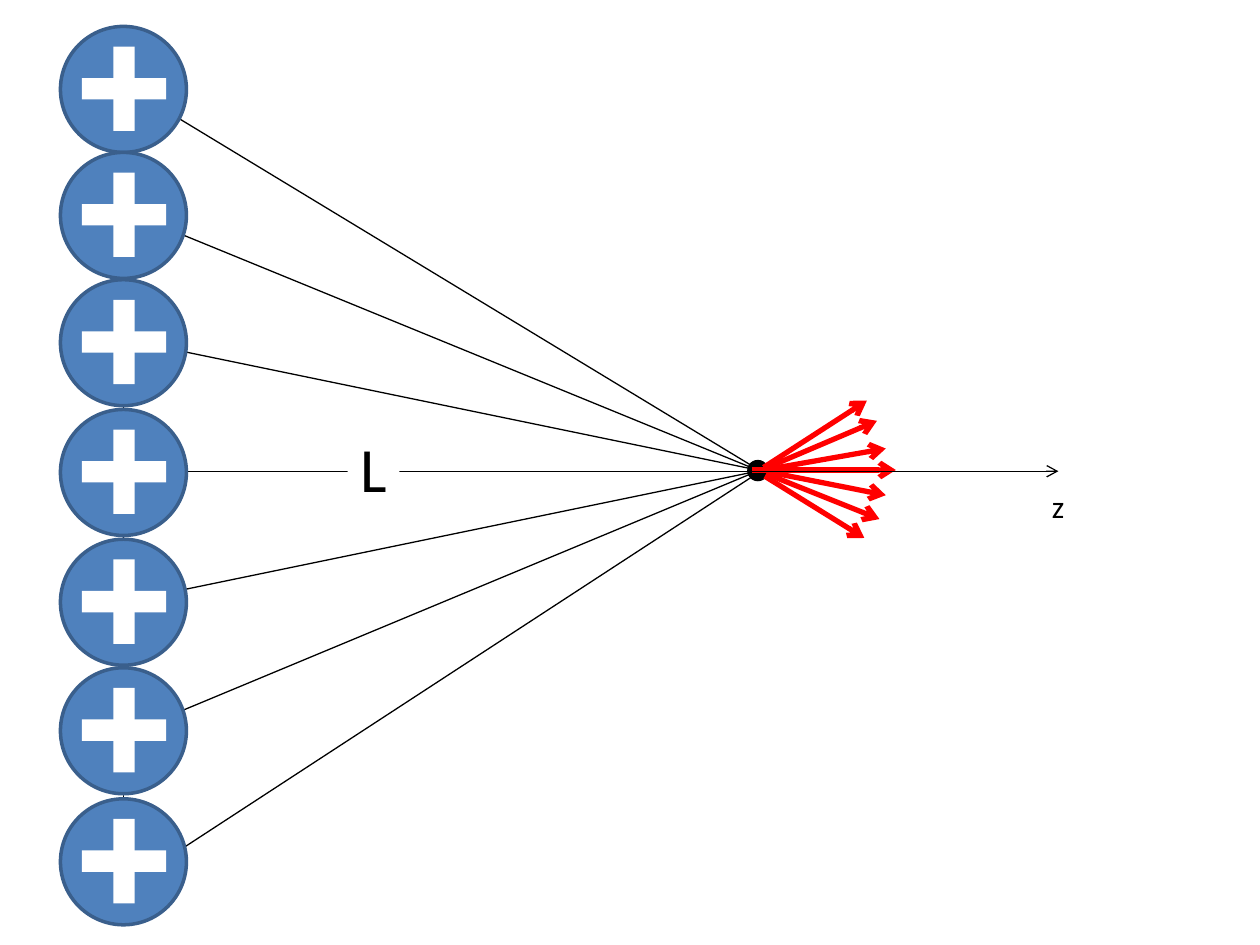
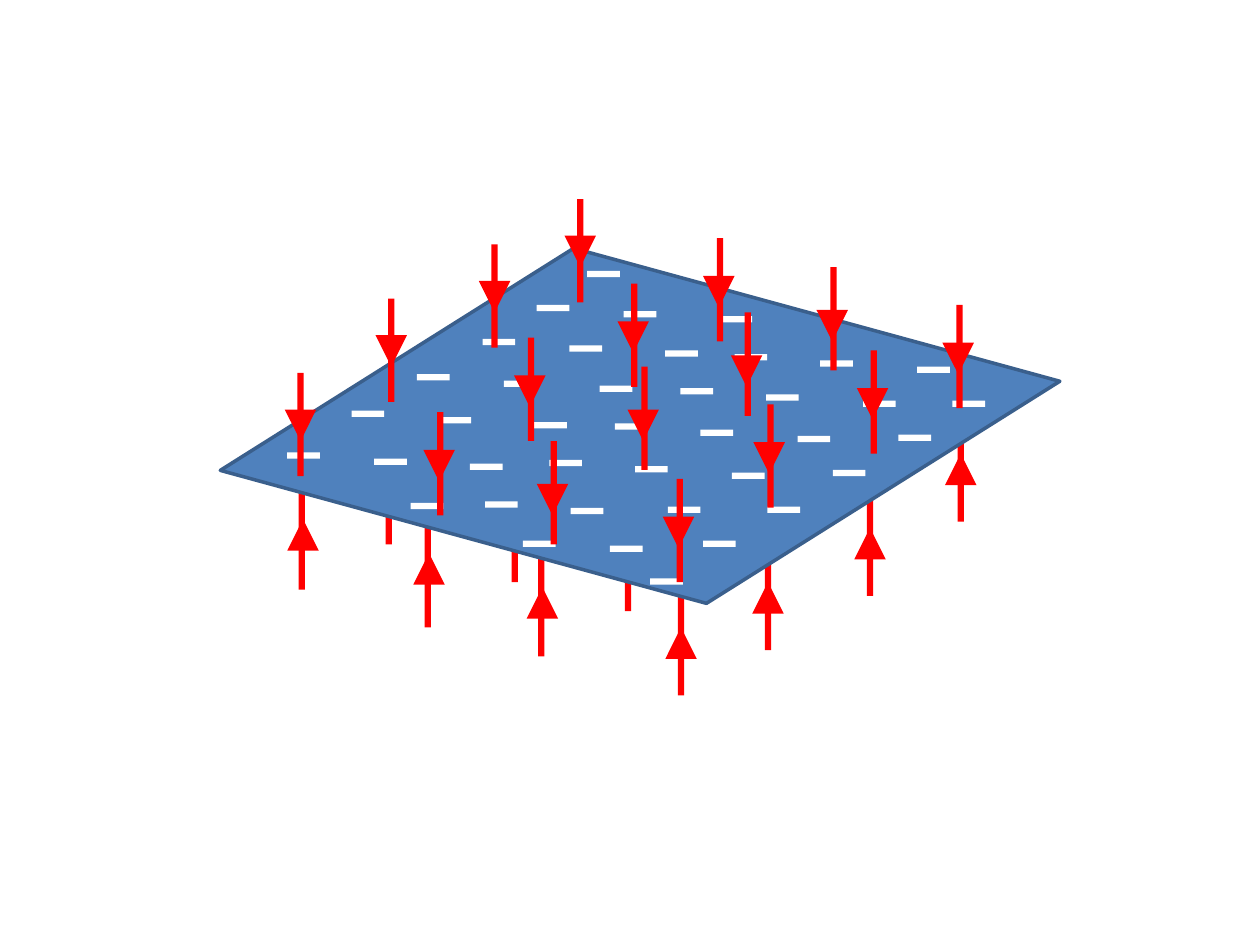
from dataclasses import dataclass
from itertools import product

from lxml.etree import SubElement
from pptx import Presentation
from pptx.dml.color import RGBColor
from pptx.enum.shapes import MSO_CONNECTOR, MSO_SHAPE
from pptx.oxml.ns import qn
from pptx.util import Inches, Pt


@dataclass(frozen=True)
class Theme:
    font: str = "Calibri"
    ink: str = "000000"
    paper: str = "FFFFFF"
    charge: str = "4F81BD"
    charge_edge: str = "3A5F8C"
    field: str = "FF0000"
    axis_size: int = 18
    distance_size: int = 36
    thin: float = 0.75
    edge: float = 2
    thick: float = 3


class Diagram:
    def __init__(self, presentation, theme):
        self.presentation = presentation
        self.theme = theme
        self.slide = None

    def new_slide(self):
        self.slide = self.presentation.slides.add_slide(self.presentation.slide_layouts[6])

    def shape(self, kind, left, top, width, height, fill, edge=None, rotation=0):
        shape = self.slide.shapes.add_shape(
            kind, Inches(left), Inches(top), Inches(width), Inches(height))
        shape.shadow.inherit = False
        shape.fill.solid()
        shape.fill.fore_color.rgb = RGBColor.from_string(fill)
        if edge:
            shape.line.color.rgb = RGBColor.from_string(edge)
            shape.line.width = Pt(self.theme.edge)
        else:
            shape.line.fill.background()
        shape.rotation = rotation
        return shape

    def bar(self, left, top, width, height, fill):
        self.shape(MSO_SHAPE.RECTANGLE, left, top, width, height, fill)

    def line(self, start, end, color=None, weight=None, heads=()):
        """Draw a line; heads names the arrowed ends in XML order, headEnd being the start."""
        line = self.slide.shapes.add_connector(
            MSO_CONNECTOR.STRAIGHT, *map(Inches, (*start, *end)))
        line.line.color.rgb = RGBColor.from_string(color or self.theme.ink)
        line.line.width = Pt(weight or self.theme.thin)
        outline = line.line._get_or_add_ln()
        for head in heads:
            SubElement(outline, qn(f"a:{head}"), type="arrow")
        SubElement(line._element.spPr, qn("a:effectLst"))

    def text(self, text, *, left, top, width, height, size, fill=None):
        box = self.slide.shapes.add_textbox(
            Inches(left), Inches(top), Inches(width), Inches(height))
        if fill:
            box.fill.solid()
            box.fill.fore_color.rgb = RGBColor.from_string(fill)
        box.text_frame.word_wrap = False
        run = box.text_frame.paragraphs[0].add_run()
        run.text = text
        run.font.name = self.theme.font
        run.font.size = Pt(size)
        run.font.color.rgb = RGBColor.from_string(self.theme.ink)

    def positive_charge(self, left, top):
        theme = self.theme
        self.shape(MSO_SHAPE.OVAL, left, top, 1, 1, theme.charge, theme.charge_edge)
        self.bar(left + 0.17, top + 0.41, 0.67, 0.17, theme.paper)
        self.bar(left + 0.42, top + 0.16, 0.17, 0.67, theme.paper)

    def field_arrow(self, tip_corner, stem_corner, downward):
        self.shape(MSO_SHAPE.ISOSCELES_TRIANGLE, *tip_corner, 0.25, 0.25,
                   self.theme.field, rotation=180 if downward else 0)
        self.bar(*stem_corner, 0.05, 0.82, self.theme.field)

    def field_arrows(self, rows, tip_steps, stem_steps, stem_shift, downward):
        """Repeat one row of arrows from each row origin."""
        for origin, (tip, stem) in product(rows, zip(tip_steps, stem_steps)):
            self.field_arrow(shifted(origin, tip),
                             shifted(shifted(origin, stem_shift), stem), downward)


def shifted(point, offset):
    return point[0] + offset[0], point[1] + offset[1]


def line_of_charges(diagram):
    theme = diagram.theme
    diagram.new_slide()

    sight_lines = [
        ((5.99, 3.71), (1.37, 0.91)), ((6.01, 3.73), (1.05, 1.7)),
        ((5.96, 3.72), (1.02, 2.7)), ((6.01, 3.74), (1.07, 4.76)),
        ((6.01, 3.74), (1.06, 5.8)), ((5.96, 3.79), (1.3, 6.83)),
    ]
    for start, end in sight_lines:
        diagram.line(start, end)
    diagram.shape(MSO_SHAPE.OVAL, 5.93, 3.65, 0.17, 0.17, theme.ink)

    field_vectors = [
        ((6.06, 3.71), (6.88, 3.18)), ((6.09, 3.71), (6.96, 3.34)),
        ((6.12, 3.72), (7.03, 3.56)), ((5.97, 3.73), (7.11, 3.73)),
        ((6.12, 3.75), (7.03, 3.93)), ((6.08, 3.76), (6.98, 4.12)),
        ((6.07, 3.78), (6.86, 4.27)),
    ]
    for start, end in field_vectors:
        diagram.line(start, end, theme.field, theme.thick, ["tailEnd"])

    diagram.line((1, 3.74), (8.4, 3.74), heads=["tailEnd"])
    diagram.text("z", left=8.25, top=3.82, width=0.3, height=0.4, size=theme.axis_size)
    diagram.text("L", left=2.76, top=3.36, width=0.41, height=0.71,
                 size=theme.distance_size, fill=theme.paper)

    diagram.line((0.98, 0.24), (0.98, 7.19), heads=["headEnd", "tailEnd"])
    for top in (0.21, 1.21, 2.22, 3.25, 4.28, 5.3, 6.34):
        diagram.positive_charge(0.48, top)


def charged_sheet(diagram):
    theme = diagram.theme
    diagram.new_slide()

    diagram.field_arrows(
        rows=[(2.28, 4.12), (2.97, 3.76), (3.78, 3.33), (4.5, 2.74)],
        tip_steps=[(0, 0), (1, 0.27), (1.9, 0.54), (3, 0.86)],
        stem_steps=[(0, 0), (1, 0.3), (1.9, 0.53), (3.01, 0.84)],
        stem_shift=(0.09, -0.26), downward=False)

    sheet = diagram.shape(MSO_SHAPE.PARALLELOGRAM, 1.96, 2.16, 6.24, 2.44,
                          theme.charge, theme.charge_edge, rotation=15.3)
    sheet.adjustments[0] = 0.918

    strip_steps = [(0, 0), (-0.43, 0.27), (-0.95, 0.55), (-1.47, 0.84)]
    strips = [  # first minus of each strip and how far its last one drops
        ((4.26, 2.42), 1.17), ((4.95, 2.47), 1.17), ((5.71, 2.51), 1.17),
        ((5.83, 2.81), 1.17), ((6.51, 2.86), 1.17), ((7.28, 2.91), 1.11),
        ((7.56, 3.18), 1.11),
    ]
    minuses = [(4.66, 2.15), (3.26, 3.99), (4.15, 4.29), (4.84, 4.33), (5.16, 4.59)]
    for start, drop in strips:
        minuses += [shifted(start, step) for step in strip_steps + [(-1.98, drop)]]
    for minus in minuses:
        diagram.bar(*minus, 0.26, 0.05, theme.paper)

    diagram.field_arrows(
        rows=[(4.48, 1.87), (3.8, 2.23), (2.98, 2.66), (2.26, 3.25)],
        tip_steps=[(0, 0), (1.1, 0.32), (2, 0.59), (3, 0.85)],
        stem_steps=[(0, 0), (1.11, 0.31), (2.01, 0.54), (3.01, 0.84)],
        stem_shift=(0.1, -0.29), downward=True)


def main():
    presentation = Presentation()
    presentation.slide_width = Inches(10)
    presentation.slide_height = Inches(7.5)
    diagram = Diagram(presentation, Theme())
    line_of_charges(diagram)
    charged_sheet(diagram)
    presentation.save("out.pptx")


if __name__ == "__main__":
    main()
